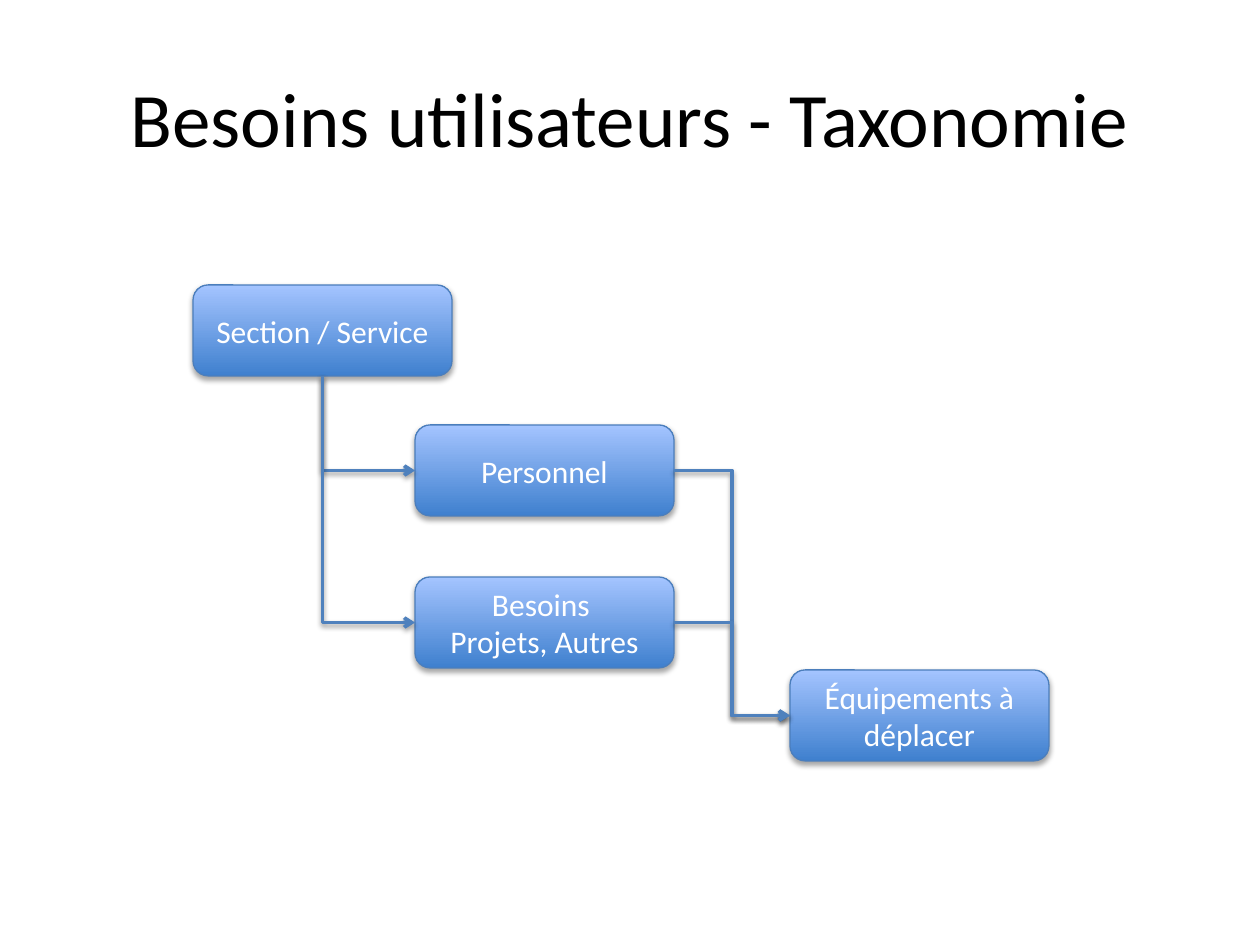
from lxml.etree import SubElement
from pptx import Presentation
from pptx.dml.color import RGBColor
from pptx.enum.shapes import MSO_CONNECTOR, MSO_SHAPE
from pptx.enum.text import MSO_ANCHOR, PP_ALIGN
from pptx.oxml.ns import qn
from pptx.util import Pt

SCALE = 914400 / 126
COLORS = {
    "title": "000000",
    "label": "FFFFFF",
    "box_bottom": "3F80CE",
    "box_top": "A4C4FF",
    "box_edge": "4B7EBC",
    "link": "4F81BD",
    "shadow": "000000",
}
BOX_WIDTH, BOX_HEIGHT = 259, 91
LEFT, BOTTOM, RIGHT = 1, 2, 3


def px(value):
    return round(value * SCALE)


def rgb(name):
    return RGBColor.from_string(COLORS[name])


class Diagram:
    font = "Calibri"

    def __init__(self, presentation):
        self.slide = presentation.slides.add_slide(presentation.slide_layouts[5])

    def set_text(self, frame, text, size, color):
        frame.word_wrap = True
        frame.vertical_anchor = MSO_ANCHOR.MIDDLE
        paragraph = frame.paragraphs[0]
        paragraph.text = text
        paragraph.alignment = PP_ALIGN.CENTER
        paragraph.font.name = self.font
        paragraph.font.size = Pt(size)
        paragraph.font.color.rgb = rgb(color)

    def cast_shadow(self, effects, distance, opacity):
        shadow = SubElement(effects, qn("a:outerShdw"), blurRad=str(Pt(3.1)),
                            dist=str(Pt(distance)), dir="5400000", rotWithShape="0")
        color = SubElement(shadow, qn("a:srgbClr"), val=COLORS["shadow"])
        SubElement(color, qn("a:alpha"), val=str(opacity * 1000))

    def title(self, text, left, top, width, height):
        heading = self.slide.shapes.title
        heading.left, heading.top = px(left), px(top)
        heading.width, heading.height = px(width), px(height)
        self.set_text(heading.text_frame, text, 44, "title")

    def box(self, text, left, top):
        box = self.slide.shapes.add_shape(
            MSO_SHAPE.ROUNDED_RECTANGLE, px(left), px(top), px(BOX_WIDTH), px(BOX_HEIGHT))
        box.fill.gradient()
        box.fill.gradient_angle = 90
        for stop, position, color in zip(box.fill.gradient_stops, (0, 1),
                                         ("box_bottom", "box_top")):
            stop.position = position
            stop.color.rgb = rgb(color)
        box.line.color.rgb = rgb("box_edge")
        box.line.width = Pt(0.75)
        box.shadow.inherit = False
        self.cast_shadow(box._element.spPr.find(qn("a:effectLst")), 1.8, 35)
        self.set_text(box.text_frame, text, 18, "label")
        return box

    def link(self, source, target, side):
        link = self.slide.shapes.add_connector(MSO_CONNECTOR.ELBOW, 0, 0, 0, 0)
        link.begin_connect(source, side)
        link.end_connect(target, LEFT)
        properties = link._element.spPr
        if side == BOTTOM:
            self.turn_down(link, properties)
        link.line.color.rgb = rgb("link")
        link.line.width = Pt(2)
        SubElement(properties.find(qn("a:ln")), qn("a:tailEnd"), type="arrow")
        self.cast_shadow(SubElement(properties, qn("a:effectLst")), 1.6, 38)

    def turn_down(self, link, properties):
        across, down = link.width, link.height
        link.left += (across - down) // 2
        link.top += (down - across) // 2
        link.width, link.height = down, across
        frame = properties.find(qn("a:xfrm"))
        frame.set("rot", "16200000")
        frame.set("flipH", "1")
        properties.find(qn("a:prstGeom")).set("prst", "bentConnector2")


presentation = Presentation()
presentation.slide_width, presentation.slide_height = px(1260), px(945)
diagram = Diagram(presentation)
diagram.title("Besoins utilisateurs - Taxonomie", 63, 38, 1134, 158)

section = diagram.box("Section / Service", 193, 285)
staff = diagram.box("Personnel", 415, 425)
needs = diagram.box("Besoins \vProjets, Autres", 415, 577)
equipment = diagram.box("Équipements à déplacer", 790, 670)

for branch in (staff, needs):
    diagram.link(section, branch, BOTTOM)
for branch in (staff, needs):
    diagram.link(branch, equipment, RIGHT)

presentation.save("out.pptx")
